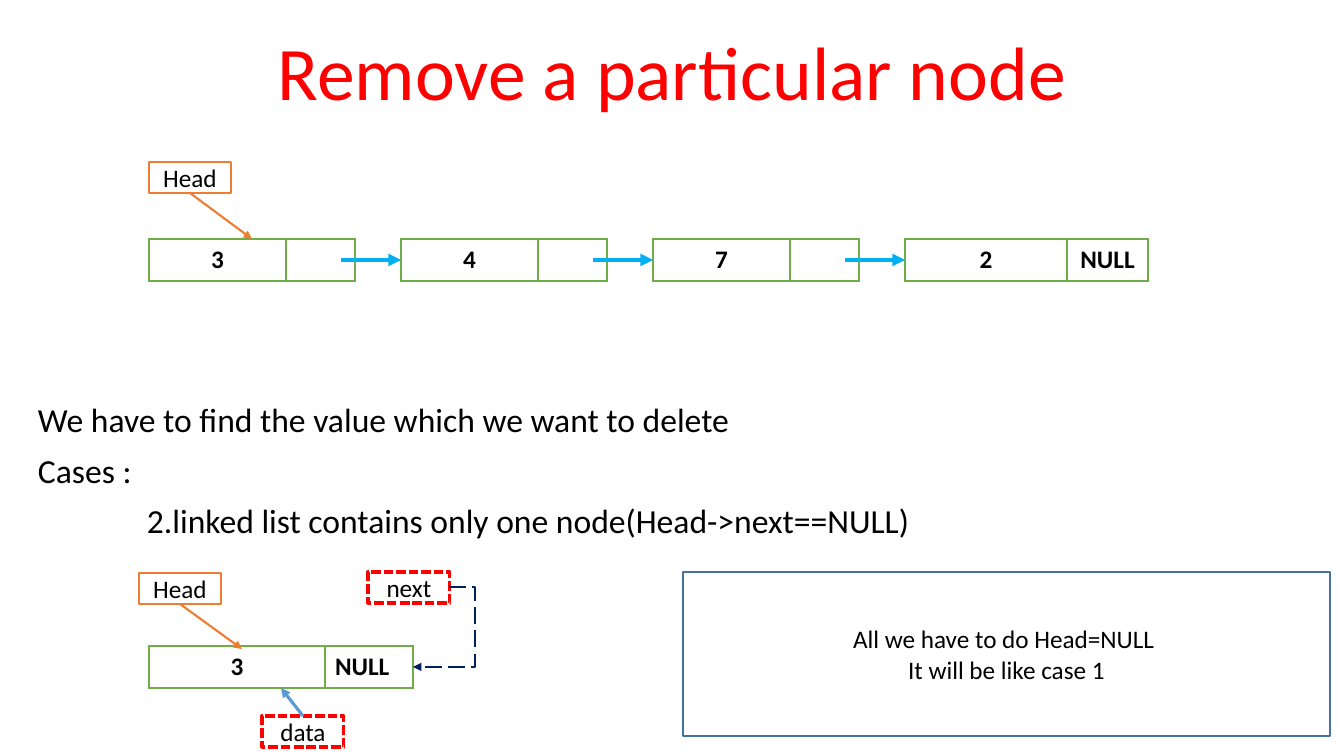
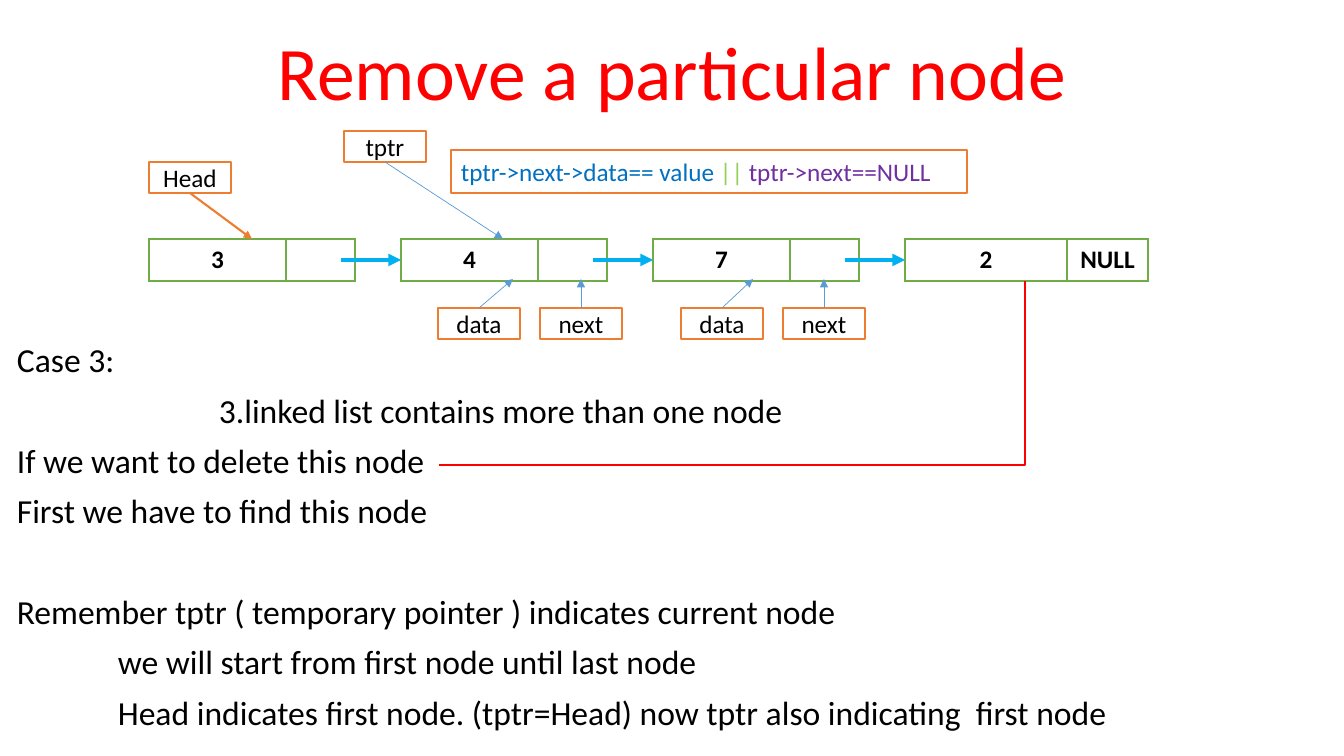
import dataclasses

import lxml.etree
import pptx
import pptx.dml.color
import pptx.enum.dml
import pptx.enum.shapes
import pptx.enum.text
import pptx.oxml.ns
import pptx.util

ALIGN = pptx.enum.text.PP_ALIGN
ANCHOR = pptx.enum.text.MSO_ANCHOR
CONNECTOR = pptx.enum.shapes.MSO_CONNECTOR
DASH = pptx.enum.dml.MSO_LINE
TOP, BOTTOM = 0, 2
WIDTH, HEIGHT = 1344, 756
SCALE = 12192000 / WIDTH


@dataclasses.dataclass(frozen=True)
class Theme:
    font: str = "Calibri"
    title: int = 54
    body: int = 24
    label: int = 18
    text: str = "000000"
    paper: str = "FFFFFF"
    red: str = "FF0000"
    node: str = "70AD47"
    link: str = "00B0F0"
    box: str = "ED7D31"
    pointer: str = "5B9BD5"
    next_line: str = "002060"
    note: str = "43739E"
    value_test: str = "0070C0"
    either: str = "92D050"
    null_test: str = "7030A0"


THEME = Theme()
NODE_LEFT, NODE_TOP, NODE_PITCH, NODE_HEIGHT = 149, 239, 252, 42
BOX_WIDTH, BOX_HEIGHT = 82, 31


def px(n):
    return pptx.util.Emu(round(n * SCALE))


def rgb(color):
    return pptx.dml.color.RGBColor.from_string(color)


def tag(parent, kind, **attributes):
    return lxml.etree.SubElement(parent, pptx.oxml.ns.qn(kind), attributes)


def style(p, size, color=THEME.text, align=ALIGN.LEFT, bold=False):
    p.alignment = align
    p.font.name = THEME.font
    p.font.size = pptx.util.Pt(size)
    p.font.bold = bold
    p.font.color.rgb = rgb(color)


def add_text_box(slide, x, y, w, h, anchor=ANCHOR.TOP):
    tf = slide.shapes.add_textbox(px(x), px(y), px(w), px(h)).text_frame
    tf.word_wrap = True
    tf.vertical_anchor = anchor
    return tf


def add_title(slide, text):
    p = add_text_box(slide, 168, 29, 1008, 93, ANCHOR.BOTTOM).paragraphs[0]
    p.text = text
    p.line_spacing = 0.9
    style(p, THEME.title, THEME.red, ALIGN.CENTER)


def add_body(slide, x, y, w, h, lines):
    tf = add_text_box(slide, x, y, w, h)
    for i, (text, indent, before) in enumerate(lines):
        p = tf.add_paragraph() if i else tf.paragraphs[0]
        p.text = text
        p.line_spacing = 0.9
        p.space_before = pptx.util.Pt(before)
        p._p.get_or_add_pPr().set("marL", str(px(indent)))
        style(p, THEME.body)


def add_rect(slide, x, y, w, h, line, width=1, dash=None):
    sp = slide.shapes.add_shape(
        pptx.enum.shapes.MSO_SHAPE.RECTANGLE, px(x), px(y), px(w), px(h))
    sp.shadow.inherit = False
    sp.fill.solid()
    sp.fill.fore_color.rgb = rgb(THEME.paper)
    sp.line.color.rgb = rgb(line)
    sp.line.width = pptx.util.Pt(width)
    if dash:
        sp.line.dash_style = dash
    sp.text_frame.vertical_anchor = ANCHOR.MIDDLE
    return sp


def add_label(slide, text, x, y, w=BOX_WIDTH, h=BOX_HEIGHT, line=THEME.box, **outline):
    sp = add_rect(slide, x, y, w, h, line, **outline)
    sp.text_frame.text = text
    for p in sp.text_frame.paragraphs:
        style(p, THEME.label, align=ALIGN.CENTER)
    return sp


def add_field(slide, text, x, y):
    return add_label(slide, text, x, y, line=THEME.red, width=2.25, dash=DASH.SQUARE_DOT)


def add_condition(slide, x, y, w, h, parts):
    p = add_rect(slide, x, y, w, h, THEME.box).text_frame.paragraphs[0]
    style(p, THEME.label)
    for text, color in parts:
        r = p.add_run()
        r.text = text
        r.font.color.rgb = rgb(color)


def add_line(slide, start, end, color, width, kind=CONNECTOR.STRAIGHT, dash=None, arrow=True):
    line = slide.shapes.add_connector(kind, *map(px, start + end))
    line.line.color.rgb = rgb(color)
    line.line.width = pptx.util.Pt(width)
    if dash:
        line.line.dash_style = dash
    if arrow:
        tag(line.line._get_or_add_ln(), "a:tailEnd", type="triangle")
    tag(line._element.spPr, "a:effectLst")
    return line


def add_elbow(slide, start, end, color, preset, adjust=None, **options):
    line = add_line(slide, start, end, color, 1.5, CONNECTOR.ELBOW, **options)
    geometry = line._element.spPr.find(pptx.oxml.ns.qn("a:prstGeom"))
    geometry.set("prst", preset)
    if adjust is not None:
        guides = geometry.find(pptx.oxml.ns.qn("a:avLst"))
        tag(guides, "a:gd", name="adj1", fmla=f"val {adjust}")


def add_pointer(slide, box, side, end, color=THEME.pointer, width=0.5):
    line = add_line(slide, end, end, color, width)
    line.begin_connect(box, side)


def add_head(slide, x, y, end):
    box = add_label(slide, "Head", x, y)
    add_pointer(slide, box, BOTTOM, end, THEME.box, 1.5)


def add_borders(cell):
    tc_pr = cell._tc.get_or_add_tcPr()
    for side, width in (("L", 1), ("R", 1), ("T", 1), ("B", 2)):
        ln = tag(tc_pr, f"a:ln{side}", w=str(pptx.util.Pt(width)))
        tag(tag(ln, "a:solidFill"), "a:srgbClr", val=THEME.node)


def add_node(slide, x, y, widths, texts, next_align=ALIGN.CENTER):
    table = slide.shapes.add_table(
        1, 2, px(x), px(y), px(sum(widths)), px(NODE_HEIGHT)).table
    table.first_row = False
    table.horz_banding = False
    for i, align in enumerate((ALIGN.CENTER, next_align)):
        table.columns[i].width = px(widths[i])
        cell = table.cell(0, i)
        add_borders(cell)
        cell.fill.solid()
        cell.fill.fore_color.rgb = rgb(THEME.paper)
        cell.text = texts[i]
        style(cell.text_frame.paragraphs[0], THEME.label, align=align, bold=True)


def add_list(slide, values):
    lefts = [NODE_LEFT + NODE_PITCH * i for i in range(len(values))]
    for x, value in zip(lefts[:-1], values):
        add_node(slide, x, NODE_TOP, (137, 69), (value, ""))
    add_node(slide, lefts[-1], NODE_TOP, (162, 81), (values[-1], "NULL"))
    middle = NODE_TOP + NODE_HEIGHT // 2
    for x in lefts[1:]:
        add_line(slide, (x - 60, middle), (x, middle), THEME.link, 3)
    add_head(slide, NODE_LEFT, 162, (252, NODE_TOP))


def start_slide(prs):
    slide = prs.slides.add_slide(prs.slide_layouts[6])
    add_title(slide, "Remove a particular node")
    return slide


def build_single_node(prs):
    slide = start_slide(prs)
    add_body(slide, 28, 399, 1287, 170, [
        ("We have to find the value which we want to delete", 0, 0),
        ("Cases :", 0, 10),
        ("2.linked list contains only one node(Head->next==NULL)", 109, 10),
    ])
    add_list(slide, "3472")
    add_node(slide, NODE_LEFT, 646, (176, 88), ("3", "NULL"), ALIGN.LEFT)
    add_head(slide, 139, 573, (242, 649))
    data = add_field(slide, "data", 262, 716)
    add_pointer(slide, data, TOP, (281, 688), width=2.25)
    add_field(slide, "next", 368, 572)
    add_elbow(slide, (449, 587), (413, 667), THEME.next_line,
              "bentConnector3", -72000, dash=DASH.LONG_DASH)
    add_label(slide, "All we have to do Head=NULL \nIt will be like case 1",
              683, 572, 647, 164, THEME.note)


def build_many_nodes(prs):
    slide = start_slide(prs)
    add_list(slide, "3472")
    add_body(slide, 7, 339, 1337, 410, [
        ("Case 3:", 0, 0),
        ("3.linked list contains more than one node", 202, 10),
        ("If we want to delete this node", 0, 10),
        ("First we have to find this node", 0, 10),
        ("Remember tptr ( temporary pointer ) indicates current node", 0, 46),
        ("we will start from first node until last node", 101, 10),
        ("Head indicates first node. (tptr=Head) now tptr also indicating  first node", 101, 10),
    ])
    add_elbow(slide, (439, 465), (1025, 281), THEME.red, "bentConnector2", arrow=False)
    tptr = add_label(slide, "tptr", 344, 131)
    add_pointer(slide, tptr, BOTTOM, (503, NODE_TOP))
    add_condition(slide, 451, 150, 516, 43, [
        ("tptr->next->data== value ", THEME.value_test),
        ("|| ", THEME.either),
        ("tptr->next==NULL", THEME.null_test),
    ])
    for text, x, tip in (("data", 438, 513), ("next", 540, 581),
                         ("data", 681, 753), ("next", 783, 824)):
        add_pointer(slide, add_label(slide, text, x, 308), TOP, (tip, 279))


def main():
    prs = pptx.Presentation()
    prs.slide_width, prs.slide_height = px(WIDTH), px(HEIGHT)
    build_single_node(prs)
    build_many_nodes(prs)
    prs.save("out.pptx")


if __name__ == "__main__":
    main()
